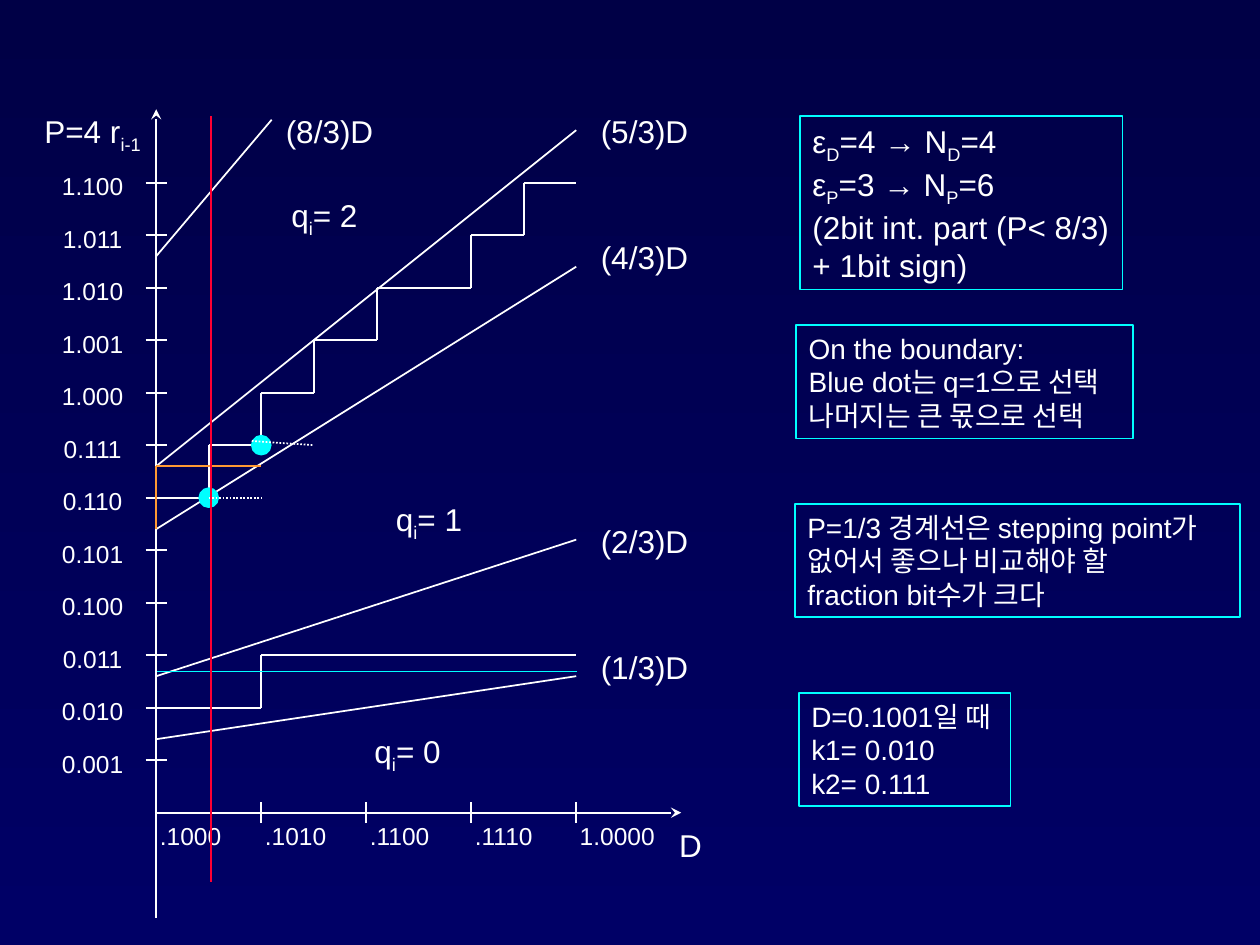
from itertools import pairwise

from lxml import etree
from pptx import Presentation
from pptx.dml.color import RGBColor
from pptx.enum.dml import MSO_LINE
from pptx.enum.shapes import MSO_CONNECTOR, MSO_SHAPE
from pptx.enum.text import MSO_ANCHOR, MSO_AUTO_SIZE, PP_ALIGN
from pptx.oxml.ns import qn
from pptx.util import Inches, Pt

STRAIGHT = MSO_CONNECTOR.STRAIGHT
RECTANGLE, OVAL = MSO_SHAPE.RECTANGLE, MSO_SHAPE.OVAL
LEFT, CENTER = PP_ALIGN.LEFT, PP_ALIGN.CENTER
DOTTED = MSO_LINE.ROUND_DOT

COLORS = {
    "top": "000046",
    "bottom": "000066",
    "white": "FFFFFF",
    "cyan": "00FFFF",
    "orange": "FF9933",
    "red": "FF0033",
}
FONT = "Arial"
ORIGIN_X, ORIGIN_Y = 1.24, 6.45
COLUMN, ROW = 10 / 12, 5 / 12
DOT_SIZE = 0.15

P_LABELS = ["0.001", "0.010", "0.011", "0.100", "0.101", "0.110",
            "0.111", "1.000", "1.001", "1.010", "1.011", "1.100"]
D_LABELS = [".1000", ".1010", ".1100", ".1110", "1.0000"]
BOUNDARIES = [
    ((0, 1.4), (4, 2.6)),
    ((0, 2.6), (4, 5.2)),
    ((0, 5.4), (4, 10.4)),
    ((0, 6.6), (4, 13)),
    ((0, 10.6), (1.1, 13.2)),
]
BOUNDARY_LABELS = [
    ("(1/3)D", 4.67, 5.09),
    ("(2/3)D", 4.67, 4.09),
    ("(4/3)D", 4.67, 1.84),
    ("(5/3)D", 4.67, 0.84),
    ("(8/3)D", 2.17, 0.84),
]
QUOTIENT_LABELS = [
    ("q_i_= 0", 2.87, 5.76),
    ("q_i_= 1", 3.04, 3.92),
    ("q_i_= 2", 2.21, 1.51),
]
UPPER_STEPS = [0, 0.5, 1, 1.5, 2.1, 3, 3.5, 4]
LOWER_STEPS = [0, 1, 4]
NOTES = [
    (["ε_D_=4 → N_D_=4", "ε_P_=3 → N_P_=6",
      "(2bit int. part (P< 8/3)", "+ 1bit sign)"],
     (6.35, 0.92, 2.56, 1.38), 18, 0.75),
    (["On the boundary:", "Blue dot는 q=1으로 선택", "나머지는 큰 몫으로 선택"],
     (6.32, 2.58, 2.67, 0.9), 16, 1),
    (["P=1/3 경계선은 stepping point가", "없어서 좋으나 비교해야 할",
      "fraction bit수가 크다"],
     (6.31, 4, 3.53, 0.9), 16, 1),
    (["D=0.1001일 때", "k1= 0.010", "k2= 0.111"],
     (6.34, 5.5, 1.68, 0.9), 16, 1),
]


def rgb(name):
    return RGBColor.from_string(COLORS[name])


def grid_point(column, row):
    return ORIGIN_X + column * COLUMN, ORIGIN_Y - row * ROW


def paint_background(slide):
    fill = slide.background.fill
    fill.gradient()
    fill.gradient_angle = 270
    for stop, name in zip(fill.gradient_stops, ("top", "bottom")):
        stop.color.rgb = rgb(name)


def add_line(slide, start, end, color="white", dash=None, arrow=False):
    ends = [Inches(v) for v in grid_point(*start) + grid_point(*end)]
    connector = slide.shapes.add_connector(STRAIGHT, *ends)
    connector.line.color.rgb = rgb(color)
    connector.line.width = Pt(1)
    if dash:
        connector.line.dash_style = dash
    properties = connector._element.spPr
    if arrow:
        etree.SubElement(properties.find(qn("a:ln")), qn("a:tailEnd"), type="stealth")
    etree.SubElement(properties, qn("a:effectLst"))


def add_staircase(slide, columns, first_row):
    corners = []
    for row, (left, right) in enumerate(pairwise(columns), first_row):
        corners += [(left, row), (right, row)]
    for start, end in pairwise(corners):
        add_line(slide, start, end)


def write_lines(frame, lines, size, align):
    frame.word_wrap = False
    frame.auto_size = MSO_AUTO_SIZE.SHAPE_TO_FIT_TEXT
    frame.vertical_anchor = MSO_ANCHOR.TOP
    for index, line in enumerate(lines):
        paragraph = frame.add_paragraph() if index else frame.paragraphs[0]
        paragraph.alignment = align
        for part, text in enumerate(line.split("_")):
            run = paragraph.add_run()
            run.text = text
            if part % 2:
                run._r.get_or_add_rPr().set("baseline", "-25000")
        paragraph.font.name = FONT
        paragraph.font.size = Pt(size)
        paragraph.font.color.rgb = rgb("white")


def add_label(slide, text, box, size=18, align=LEFT):
    label = slide.shapes.add_textbox(*map(Inches, box))
    write_lines(label.text_frame, [text], size, align)


def add_note(slide, lines, box, size, border):
    note = slide.shapes.add_shape(RECTANGLE, *map(Inches, box))
    note.shadow.inherit = False
    note.fill.background()
    note.line.color.rgb = rgb("cyan")
    note.line.width = Pt(border)
    write_lines(note.text_frame, lines, size, LEFT)


def add_dot(slide, column, row):
    x, y = grid_point(column, row)
    box = (x - DOT_SIZE / 2, y - DOT_SIZE / 2, DOT_SIZE, DOT_SIZE)
    dot = slide.shapes.add_shape(OVAL, *map(Inches, box))
    dot.shadow.inherit = False
    dot.fill.solid()
    dot.fill.fore_color.rgb = rgb("cyan")
    dot.line.color.rgb = rgb("cyan")
    dot.line.width = Pt(1)


def draw_axes(slide):
    add_line(slide, (0, -2), (0, 13.4), arrow=True)
    add_line(slide, (0, 0), (5, 0), arrow=True)
    add_label(slide, "P=4 r_i-1_", (0.23, 0.84, 1.01, 0.44), align=CENTER)
    add_label(slide, "D", (5.29, 6.51, 0.38, 0.4), align=CENTER)
    for row, text in enumerate(P_LABELS, 1):
        add_line(slide, (-0.1, row), (0.1, row))
        y = grid_point(0, row)[1]
        add_label(slide, text, (0.39, y - 0.14, 0.69, 0.33), 14, CENTER)
    for column, text in enumerate(D_LABELS):
        if column:
            add_line(slide, (column, -0.2), (column, 0.2))
        x = grid_point(column, 0)[0]
        width = 0.8 if len(text) > 5 else 0.69
        add_label(slide, text, (x - 0.07, 6.47, width, 0.33), 14)


def draw_regions(slide):
    for start, end in BOUNDARIES:
        add_line(slide, start, end)
    for text, left, top in BOUNDARY_LABELS:
        add_label(slide, text, (left, top, 0.9, 0.4))
    for text, left, top in QUOTIENT_LABELS:
        add_label(slide, text, (left, top, 0.73, 0.44), align=CENTER)
    add_staircase(slide, UPPER_STEPS, 6)
    add_staircase(slide, LOWER_STEPS, 2)


def draw_markers(slide):
    add_line(slide, (0, 6.6), (1, 6.6), "orange")
    add_line(slide, (0, 5.4), (0, 6.6), "orange")
    add_dot(slide, 0.5, 6)
    add_dot(slide, 1, 7)
    add_line(slide, (0.5, 6), (1, 6), dash=DOTTED)
    add_line(slide, (0.91, 7.08), (1.5, 7), dash=DOTTED)
    add_line(slide, (0.01, 2.69), (4.01, 2.69), "cyan")
    add_line(slide, (0.52, 13.27), (0.52, -1.32), "red")


def main():
    deck = Presentation()
    deck.slide_width, deck.slide_height = Inches(10), Inches(7.5)
    slide = deck.slides.add_slide(deck.slide_layouts[6])
    paint_background(slide)
    draw_axes(slide)
    draw_regions(slide)
    draw_markers(slide)
    for note in NOTES:
        add_note(slide, *note)
    deck.save("out.pptx")


if __name__ == "__main__":
    main()
